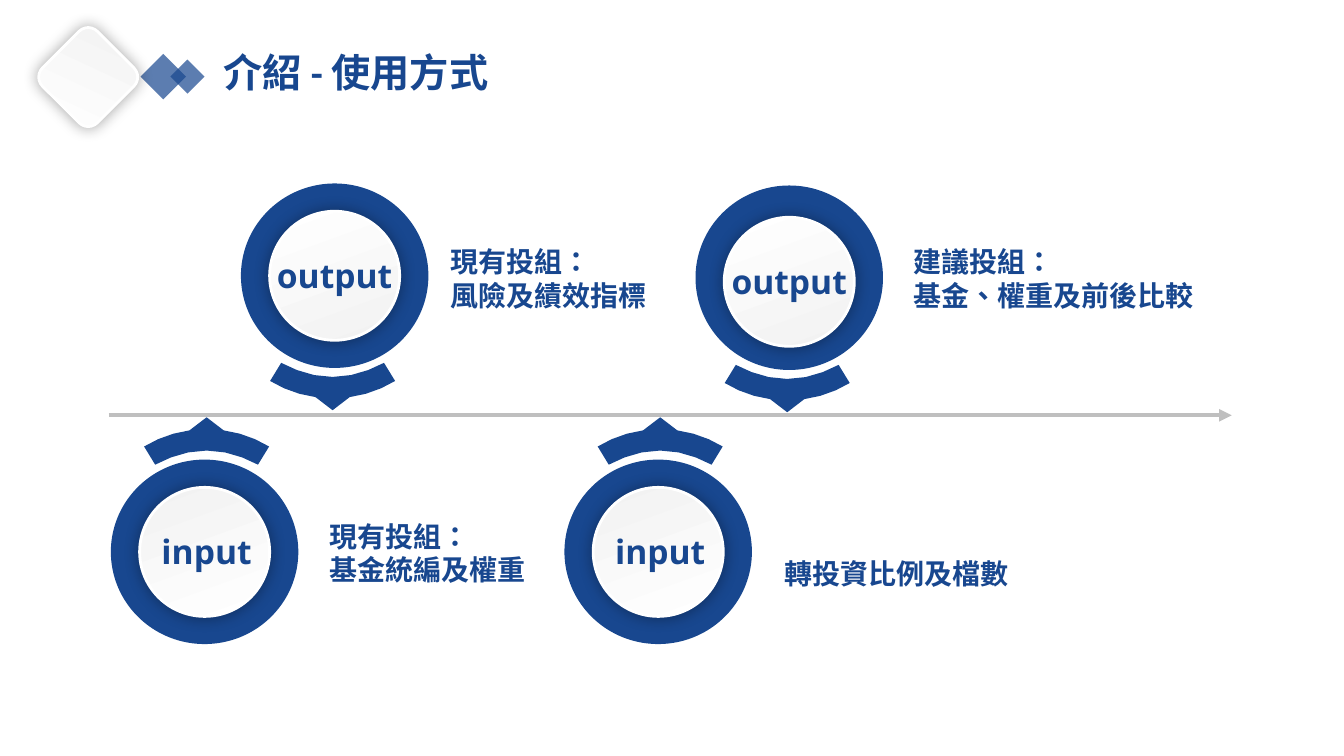
import pptx
import pptx.util
import pptx.dml.color
import pptx.enum.lang
import pptx.enum.shapes
import pptx.enum.text
import pptx.oxml

PX = 9144  # 100 px to the inch
BLUE, GREY, WHITE, PALE = "18478F", "BFBFBF", "FFFFFF", "F2F2F2"
MSO = pptx.enum.shapes.MSO_SHAPE
ALIGN = pptx.enum.text.PP_ALIGN
NS = 'xmlns:a="http://schemas.openxmlformats.org/drawingml/2006/main"'

TITLE = "介紹 - 使用方式"
# label, pointer tip (x, y), side the pointer faces (1 up, -1 down), disc drop
BADGES = [
    ("input", 205, 414, 1, 0),
    ("output", 330, 407, -1, 0),
    ("input", 655, 414, 1, 0),
    ("output", 781, 409, -1, 4),
]
LABEL_WIDTHS = {"input": 126, "output": 146}
# left, top, width, height, line spacing, lines
NOTES = [
    (317, 510, 372, 77, None, ["現有投組：", "基金統編及權重"]),
    (437, 238, 354, 77, None, ["現有投組：", "風險及績效指標"]),
    (896, 238, 373, 113, None, ["建議投組：", "基金、權重及前後比較"]),
    (768, 514, 328, 67, 2, ["轉投資比例及檔數"]),
]
DIAMONDS = [(146, 60, 32), (174, 64, 24)]
RING, DISC = (186, 183), (129, 128)
TIP_TO_RING = 42
# Half of the pointer, measured from its tip, as two Bézier curves
INNER_EDGE = [(0, 33), (19, 33), (36, 39), (51, 47)]
OUTER_EDGE = [(62, 29), (49, 21), (33, 15), (17, 13)]


def rgb(color):
    return pptx.dml.color.RGBColor.from_string(color)


def add_shape(kind, x, y, w, h, color, turn=0):
    s = slide.shapes.add_shape(kind, *(round(v * PX) for v in (x, y, w, h)))
    s.rotation = turn
    return paint(s, color)


def paint(s, color):
    s.shadow.inherit = False
    s.fill.solid()
    s.fill.fore_color.rgb = rgb(color)
    s.line.fill.background()
    return s


def emboss(s):
    """Give a shape the pale gradient, rim and soft shadow."""
    s.fill.gradient()
    s.fill.gradient_angle = 110
    for stop, color, place in zip(s.fill.gradient_stops, (WHITE, PALE), (0, 1)):
        stop.color.rgb = rgb(color)
        stop.position = place
    s.line.color.rgb = rgb(WHITE)
    s.line.width = pptx.util.Pt(2)
    effects = s._element.spPr.find(pptx.oxml.ns.qn("a:effectLst"))
    effects.append(pptx.oxml.parse_xml(
        f'<a:outerShdw {NS} blurRad="139700" dist="0" dir="0" algn="ctr" rotWithShape="0">'
        '<a:srgbClr val="000000"><a:alpha val="35000"/></a:srgbClr></a:outerShdw>'))


def add_text(x, y, w, h, lines, size, font="Open Sans", align=ALIGN.LEFT, spacing=None):
    s = slide.shapes.add_textbox(*(round(v * PX) for v in (x, y, w, h)))
    tf = s.text_frame
    tf.word_wrap = True
    tf.auto_size = pptx.enum.text.MSO_AUTO_SIZE.SHAPE_TO_FIT_TEXT
    tf.text = "\n".join(lines)
    for p in tf.paragraphs:
        p.alignment = align
        p.line_spacing = spacing
        f = p.runs[0].font
        f.name, f.size, f.bold = font, pptx.util.Pt(size), True
        f.language_id = pptx.enum.lang.MSO_LANGUAGE_ID.TRADITIONAL_CHINESE
        f.color.rgb = rgb(BLUE)


def curve(points, steps=3):
    """Points along a cubic Bézier."""
    a, b, c, d = points
    for i in range(steps + 1):
        t = i / steps
        u = 1 - t
        yield tuple(u**3 * a[k] + 3 * u * u * t * b[k] + 3 * u * t * t * c[k] + t**3 * d[k]
                    for k in (0, 1))


def add_pointer(tip_x, tip_y, side):
    half = [*curve(INNER_EDGE), *curve(OUTER_EDGE), (0, 0)]
    outline = half + [(-x, y) for x, y in half[-2:0:-1]]
    points = [(round((tip_x + x) * PX), round((tip_y + side * y) * PX)) for x, y in outline]
    builder = slide.shapes.build_freeform(*points[0], scale=1.0)
    builder.add_line_segments(points[1:], close=True)
    paint(builder.convert_to_shape(), BLUE)


def add_badge(tip_x, tip_y, side, drop):
    """Draw pointer, ring and disc; return the label's centre."""
    add_pointer(tip_x, tip_y, side)
    turn = 0 if side == 1 else 180
    cx, cy = tip_x - 2 * side, tip_y + side * (TIP_TO_RING + RING[1] / 2)
    add_shape(MSO.OVAL, cx - RING[0] / 2, cy - RING[1] / 2, *RING, BLUE, turn)
    cy += drop
    emboss(add_shape(MSO.OVAL, cx - DISC[0] / 2, cy - DISC[1] / 2, *DISC, WHITE, turn))
    return cx + 1 + side, cy - 1


prs = pptx.Presentation()
prs.slide_width, prs.slide_height = pptx.util.Emu(12192000), 750 * PX
slide = prs.slides.add_slide(prs.slide_layouts[6])

for x, y, side in DIAMONDS:
    s = add_shape(MSO.RECTANGLE, x, y, side, side, BLUE, 225)
    color = s._element.spPr.find(".//" + pptx.oxml.ns.qn("a:srgbClr"))
    color.append(pptx.oxml.parse_xml(f'<a:alpha {NS} val="70000"/>'))
emboss(add_shape(MSO.ROUNDED_RECTANGLE, 49, 38, 77, 77, WHITE, 45))
add_text(212, 43, 455, 57, [TITLE], 28, "Calibri")

centres = [add_badge(*badge[1:]) for badge in BADGES]

axis = slide.shapes.add_connector(
    pptx.enum.shapes.MSO_CONNECTOR.STRAIGHT, 108 * PX, 412 * PX, 1222 * PX, 412 * PX)
axis.line.color.rgb = rgb(GREY)
axis.line.width = pptx.util.Pt(3)
axis.line._get_or_add_ln().append(pptx.oxml.parse_xml(f'<a:tailEnd {NS} type="triangle"/>'))
axis._element.spPr.append(pptx.oxml.parse_xml(f"<a:effectLst {NS}/>"))

for (label, *_), (cx, cy) in zip(BADGES, centres):
    w = LABEL_WIDTHS[label]
    add_text(cx - w / 2, cy - 25, w, 50, [label], 24, align=ALIGN.CENTER)
for x, y, w, h, spacing, lines in NOTES:
    add_text(x, y, w, h, lines, 20, spacing=spacing)

prs.save("out.pptx")
